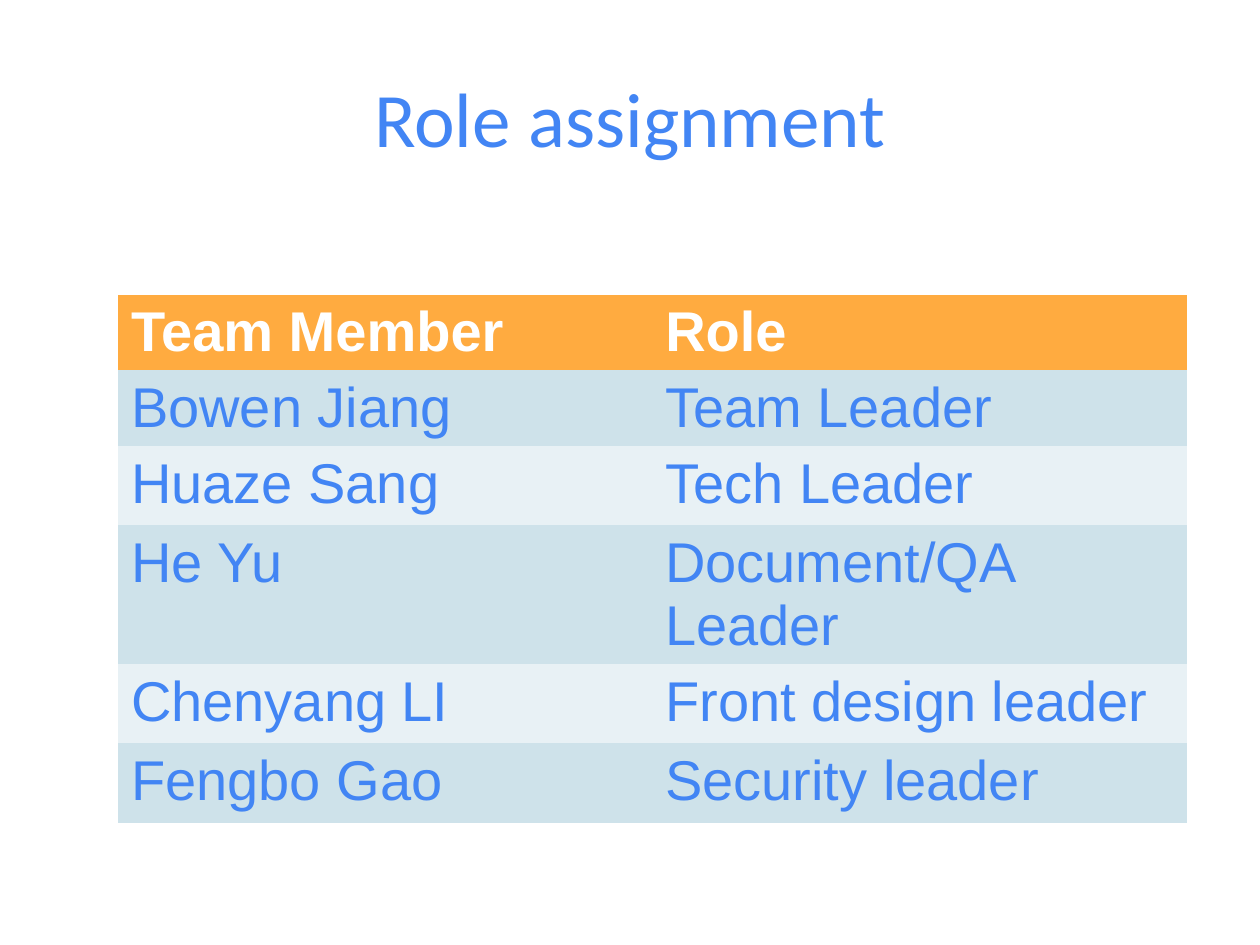
from pptx import Presentation
from pptx.dml.color import RGBColor
from pptx.enum import text
from pptx.oxml import ns
from pptx.util import Inches, Pt

BLUE, WHITE, ORANGE = "4285F4", "FFFFFF", "FFAB40"
BANDS = ("CEE2EA", "E8F1F5")
PLAIN_STYLE = "{2D5ABB26-0587-4C30-8999-92F81FD0307C}"  # no style, no grid

ROLES = [
    ("Team Member", "Role"),
    ("Bowen Jiang", "Team Leader"),
    ("Huaze Sang", "Tech Leader"),
    ("He Yu", "Document/QA Leader"),
    ("Chenyang LI", "Front design leader"),
    ("Fengbo Gao", "Security leader"),
]
ROW_HEIGHTS = [0.6, 0.6, 0.63, 1.1, 0.63, 0.63]


def rgb(value):
    return RGBColor.from_string(value)


def add_run(p, words, font, size, color, bold=False):
    r = p.add_run()
    r.text = words
    r.font.name, r.font.size, r.font.bold = font, Pt(size), bold
    r.font.color.rgb = rgb(color)


def add_title(s, words, left, top, width, height):
    sp = s.shapes.title
    sp.left, sp.top = Inches(left), Inches(top)
    sp.width, sp.height = Inches(width), Inches(height)
    tf = sp.text_frame
    tf.vertical_anchor = text.MSO_ANCHOR.MIDDLE
    p = tf.paragraphs[0]
    p.alignment = text.PP_ALIGN.CENTER
    add_run(p, words, "Calibri", 44, BLUE)


def add_role_table(s, rows, heights, left, top, width):
    frame = s.shapes.add_table(len(rows), len(rows[0]), Inches(left), Inches(top),
                               Inches(width), Inches(sum(heights)))
    table = frame.table
    table.horz_banding = False
    table._tbl.tblPr.find(ns.qn("a:tableStyleId")).text = PLAIN_STYLE

    for i, (row, height) in enumerate(zip(rows, heights)):
        table.rows[i].height = Inches(height)
        header = i == 0
        fill = ORANGE if header else BANDS[(i - 1) % 2]
        for j, words in enumerate(row):
            cell = table.cell(i, j)
            cell.fill.solid()
            cell.fill.fore_color.rgb = rgb(fill)
            add_run(cell.text_frame.paragraphs[0], words, "Arial", 32,
                    WHITE if header else BLUE, bold=header)


def main():
    prs = Presentation()
    prs.slide_width, prs.slide_height = Inches(10), Inches(7.5)
    s = prs.slides.add_slide(prs.slide_layouts[5])  # title only

    # Title
    add_title(s, "Role assignment", 0.5, 0.3, 9, 1.25)
    # Team members and their roles
    add_role_table(s, ROLES, ROW_HEIGHTS, 0.94, 2.34, 8.48)

    prs.save("out.pptx")


if __name__ == "__main__":
    main()
